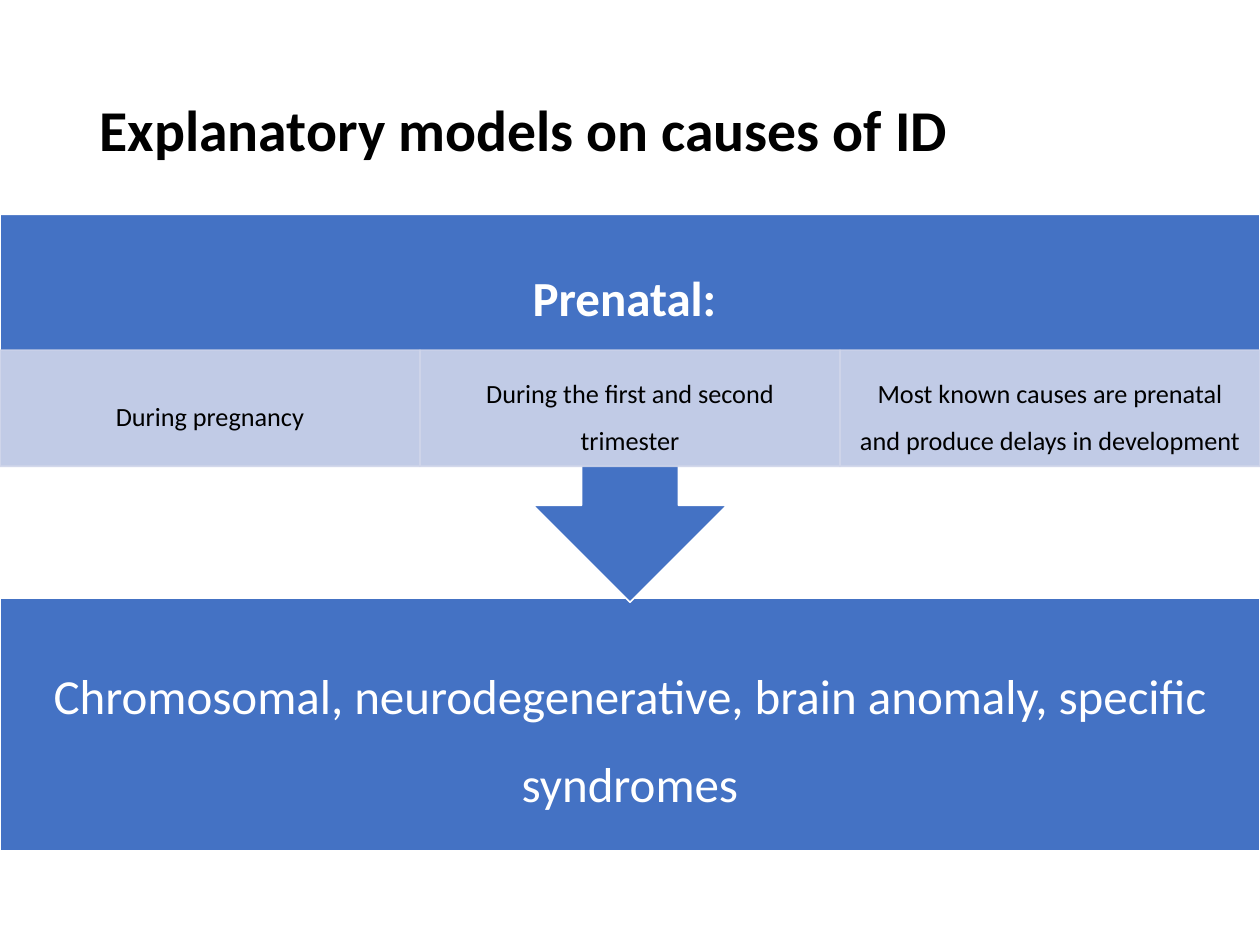
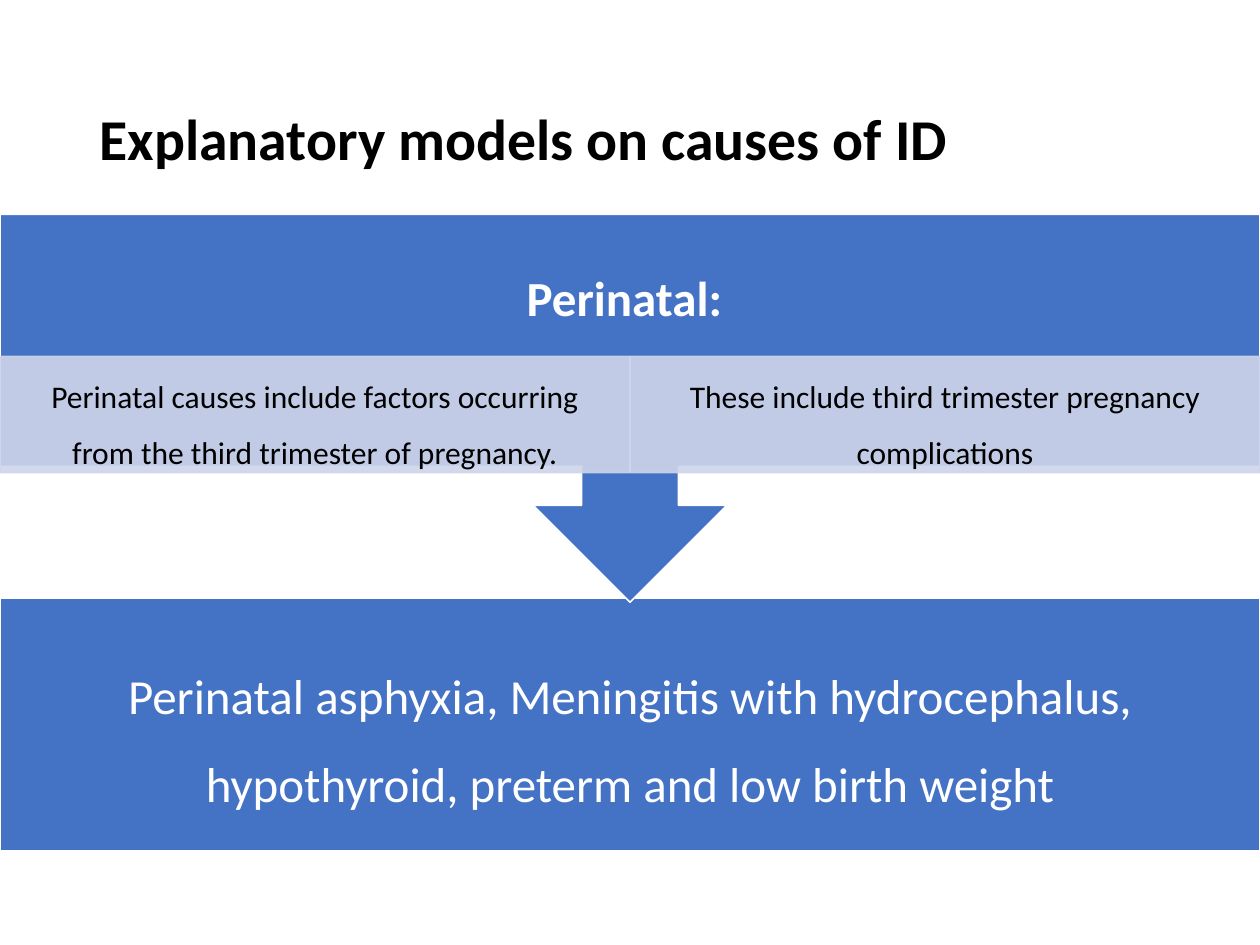
from dataclasses import dataclass

from lxml import etree
from pptx import Presentation
from pptx import util as u
from pptx.dml.color import RGBColor
from pptx.enum import shapes, text
from pptx.oxml.ns import qn


@dataclass(frozen=True)
class Theme:
    font: str = "Calibri"
    ink: str = "000000"
    paper: str = "FFFFFF"
    accent: str = "4472C4"
    tint: str = "CFD5EA"
    tint_opacity: int = 90
    title_size: int = 33
    band_size: int = 28
    outline: int = 1


class Board:
    columns = 12
    rows = 30

    def __init__(self, deck, theme):
        self.deck = deck
        self.theme = theme
        self.page = None

    def add_page(self):
        self.page = self.deck.slides.add_slide(self.deck.slide_layouts[5])

    def area(self, column, row, width, height):
        across = self.deck.slide_width / self.columns
        down = self.deck.slide_height / self.rows
        return [round(value) for value in
                (column * across, row * down, width * across, height * down)]

    def set_words(self, box, words, size, color, bold=False, spacing=1.5,
                  align=text.PP_ALIGN.CENTER, insets=(0.22, 0.22)):
        frame = box.text_frame
        frame.text = words
        frame.word_wrap = True
        frame.auto_size = text.MSO_AUTO_SIZE.NONE
        frame.vertical_anchor = text.MSO_ANCHOR.MIDDLE
        frame.margin_left = frame.margin_right = u.Inches(insets[0])
        frame.margin_top = frame.margin_bottom = u.Inches(insets[1])
        para = frame.paragraphs[0]
        para.alignment = align
        para.line_spacing = spacing
        font = para.runs[0].font
        font.name = self.theme.font
        font.size = u.Pt(size)
        font.bold = bold
        font.color.rgb = RGBColor.from_string(color)

    def title(self, words, height):
        box = self.page.shapes.title
        box.left, box.top, box.width, box.height = self.area(0.83, 1.6, 10.34, height)
        self.set_words(box, words, self.theme.title_size, self.theme.ink, bold=True,
                       spacing=0.9, align=text.PP_ALIGN.LEFT, insets=(0.1, 0.05))

    def shape(self, kind, area, fill, line, opacity=100):
        box = self.page.shapes.add_shape(kind, *self.area(*area))
        box.shadow.inherit = False
        box.fill.solid()
        box.fill.fore_color.rgb = RGBColor.from_string(fill)
        box.line.color.rgb = RGBColor.from_string(line)
        box.line.width = u.Pt(self.theme.outline)
        if opacity < 100:
            for color in box.element.spPr.iter(qn("a:srgbClr")):
                etree.SubElement(color, qn("a:alpha")).set("val", str(opacity * 1000))
        return box

    def band(self, words):
        box = self.shape(shapes.MSO_SHAPE.RECTANGLE, (0, 19, self.columns, 8),
                         self.theme.accent, self.theme.paper)
        self.set_words(box, words, self.theme.band_size, self.theme.paper)

    def callout(self, words):
        arrow = self.shape(shapes.MSO_SHAPE.UP_ARROW_CALLOUT,
                           (0, 6.8, self.columns, 12.32),
                           self.theme.accent, self.theme.paper)
        arrow.rotation = 180
        label = self.page.shapes.add_textbox(*self.area(0, 6.8, self.columns, 4.32))
        self.set_words(label, words, self.theme.band_size, self.theme.paper, bold=True)

    def details(self, entries, row, size, insets):
        width = self.columns / len(entries)
        for index, words in enumerate(entries):
            box = self.shape(shapes.MSO_SHAPE.RECTANGLE,
                             (index * width, row, width, 3.68),
                             self.theme.tint, self.theme.tint, self.theme.tint_opacity)
            self.set_words(box, words, size, self.theme.ink, insets=insets)


@dataclass(frozen=True)
class Stage:
    name: str
    details: tuple
    causes: str
    title_height: float
    detail_row: float
    detail_size: int
    detail_insets: tuple


STAGES = (
    Stage("Prenatal: ",
          ("During pregnancy",
           "During the first and second trimester",
           "Most known causes are prenatal and produce delays in development"),
          "Chromosomal, neurodegenerative, brain anomaly, specific syndromes",
          5.2, 11.12, 15, (0.12, 0.02)),
    Stage("Perinatal: ",
          ("Perinatal causes include factors occurring from the third trimester of pregnancy.",
           "These include third trimester pregnancy complications"),
          "Perinatal asphyxia, Meningitis with hydrocephalus, hypothyroid, "
          "preterm and low birth weight",
          5.8, 11.32, 18, (0.14, 0.03)),
)


def main():
    deck = Presentation()
    deck.slide_width, deck.slide_height = u.Inches(10), u.Inches(7.5)
    board = Board(deck, Theme())
    for stage in STAGES:
        board.add_page()
        board.title("Explanatory models on causes of ID", stage.title_height)
        board.band(stage.causes)
        board.callout(stage.name)
        board.details(stage.details, stage.detail_row, stage.detail_size,
                      stage.detail_insets)
    deck.save("out.pptx")


if __name__ == "__main__":
    main()
